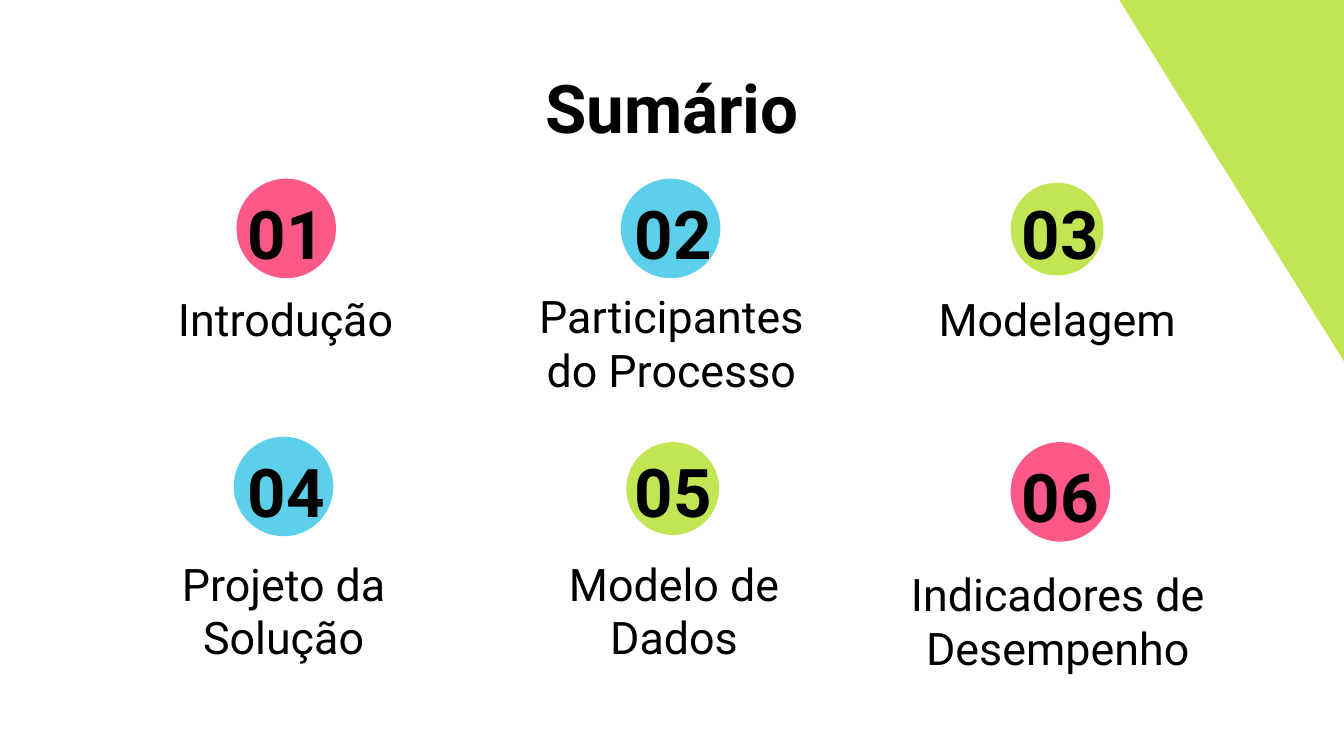
import pptx
import pptx.dml.color
import pptx.enum.shapes
import pptx.enum.text
import pptx.util

PX = 9144
FONT = "Roboto"
BLACK, PINK, BLUE, LIME = "000000", "FD5988", "5CD0EB", "C1E553"
SHAPE = pptx.enum.shapes.MSO_SHAPE
ANCHOR = pptx.enum.text.MSO_ANCHOR
COLUMN_STEP = 288

TOPICS = [
    ("Introdução", PINK, (28, 0, 74), (-40, 71, 209, 63)),
    ("Participantes do Processo", BLUE, (26, 0, 74), (-61, 79, 249, 93)),
    ("Modelagem", LIME, (28, 3, 69), (-62, 71, 249, 63)),
    ("Projeto da Solução", BLUE, (26, 0, 74), (-51, 78, 228, 101)),
    ("Modelo de Dados", LIME, (30, 4, 69), (-39, 110, 209, 69)),
    ("Indicadores de Desempenho", PINK, (28, 0, 74), (-77, 82, 280, 101)),
]
ROW_TOPS = [133, 133, 133, 325, 325, 329]


def px(*lengths):
    """Turn px lengths into EMU."""
    return [pptx.util.Emu(length * PX) for length in lengths]


def color(hex_code):
    """Turn a hex string into a colour."""
    return pptx.dml.color.RGBColor.from_string(hex_code)


def add_text(slide, box, text, size=24, bold=False, anchor=ANCHOR.TOP):
    """Write centred text in a box of left, top, width and height."""
    frame = slide.shapes.add_textbox(*px(*box)).text_frame
    frame.word_wrap = True
    frame.vertical_anchor = anchor
    frame.margin_left = frame.margin_right = px(10)[0]
    frame.margin_top = frame.margin_bottom = px(10)[0]
    paragraph = frame.paragraphs[0]
    paragraph.alignment = pptx.enum.text.PP_ALIGN.CENTER
    run = paragraph.add_run()
    run.text = text
    run.font.name = FONT
    run.font.size = pptx.util.Pt(size)
    run.font.bold = bold
    run.font.color.rgb = color(BLACK)


def add_filled(slide, kind, box, fill):
    """Draw a flat preset shape without an outline."""
    shape = slide.shapes.add_shape(kind, *px(*box))
    shape.shadow.inherit = False
    shape.fill.solid()
    shape.fill.fore_color.rgb = color(fill)
    shape.line.fill.background()
    return shape


def add_corner(slide, box):
    """Draw the lime triangle of the top right corner."""
    corner = add_filled(slide, SHAPE.RIGHT_TRIANGLE, box, LIME)
    corner.rotation = 270
    corner._element.spPr.xfrm.set("flipH", "1")


def add_topic(slide, box, number, topic):
    """Place the disc, number and label of a topic relative to its number box."""
    left, top, width, height = box
    label, fill, (disc_x, disc_y, diameter), (label_x, label_y, *label_size) = topic
    disc = (left + disc_x, top + disc_y, diameter, diameter)
    add_filled(slide, SHAPE.OVAL, disc, fill)
    add_text(slide, box, f"{number:02d}", size=36, bold=True)
    label_box = (left + label_x, top + label_y, *label_size)
    add_text(slide, label_box, label, anchor=ANCHOR.BOTTOM)


def add_summary(slide, box):
    """Lay out the topics in three columns from the left of the box."""
    left, top, width, height = box
    for index, (topic, row_top) in enumerate(zip(TOPICS, ROW_TOPS)):
        column = left + index % 3 * COLUMN_STEP
        add_topic(slide, (column, top + row_top, 130, 63), index + 1, topic)


def main():
    """Build the summary slide and save it."""
    deck = pptx.Presentation()
    deck.slide_width = px(1000)[0]
    deck.slide_height = deck.slide_width * 9 // 16
    slide = deck.slides.add_slide(deck.slide_layouts[6])
    add_corner(slide, (726, 106, 563, 350))
    add_text(slide, (72, 39, 856, 63), "Sumário", size=36, bold=True)
    add_summary(slide, (148, 0, 706, 562))
    deck.save("out.pptx")


if __name__ == "__main__":
    main()
